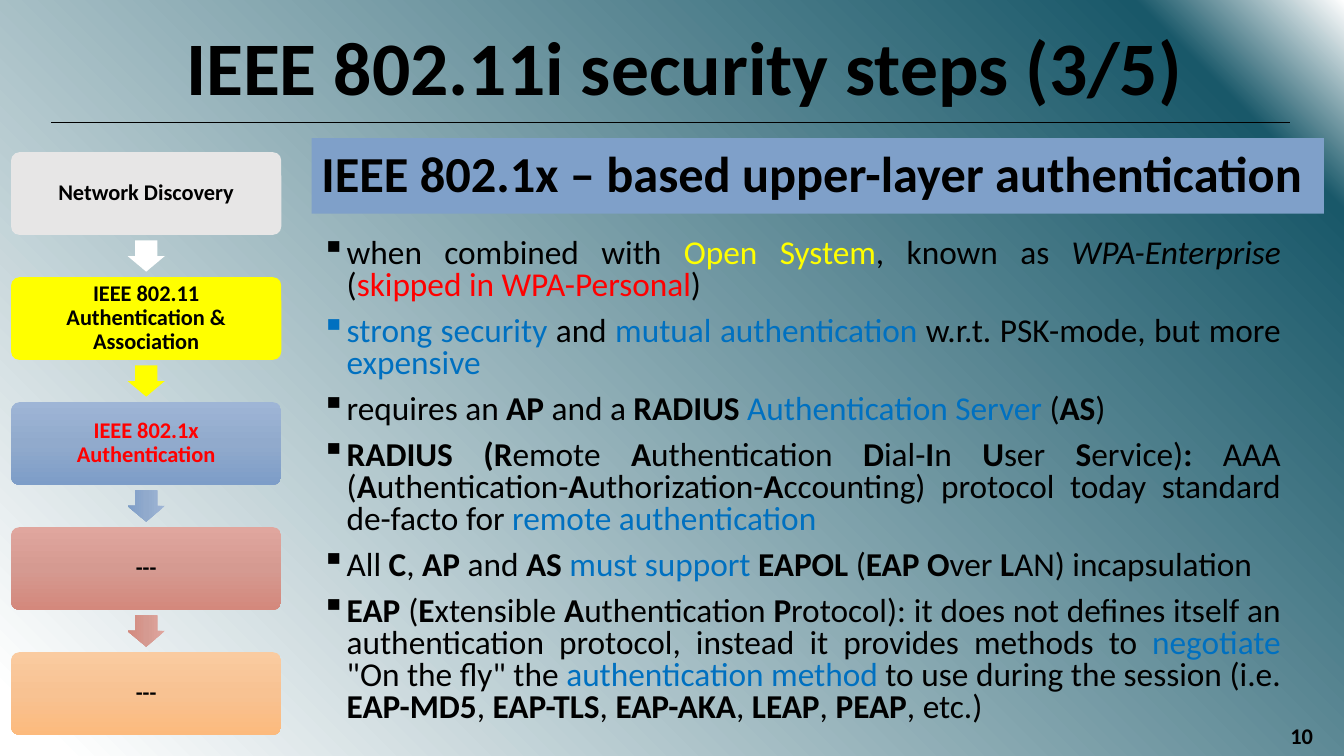
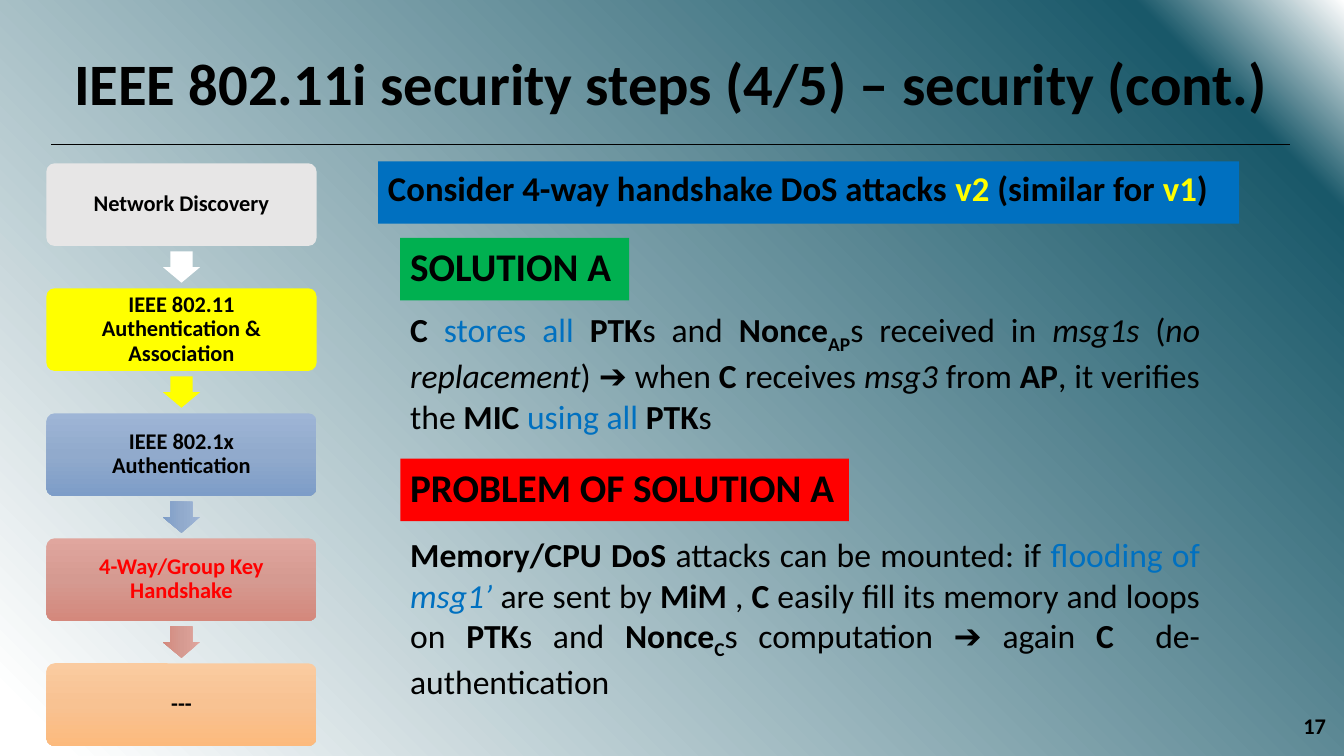
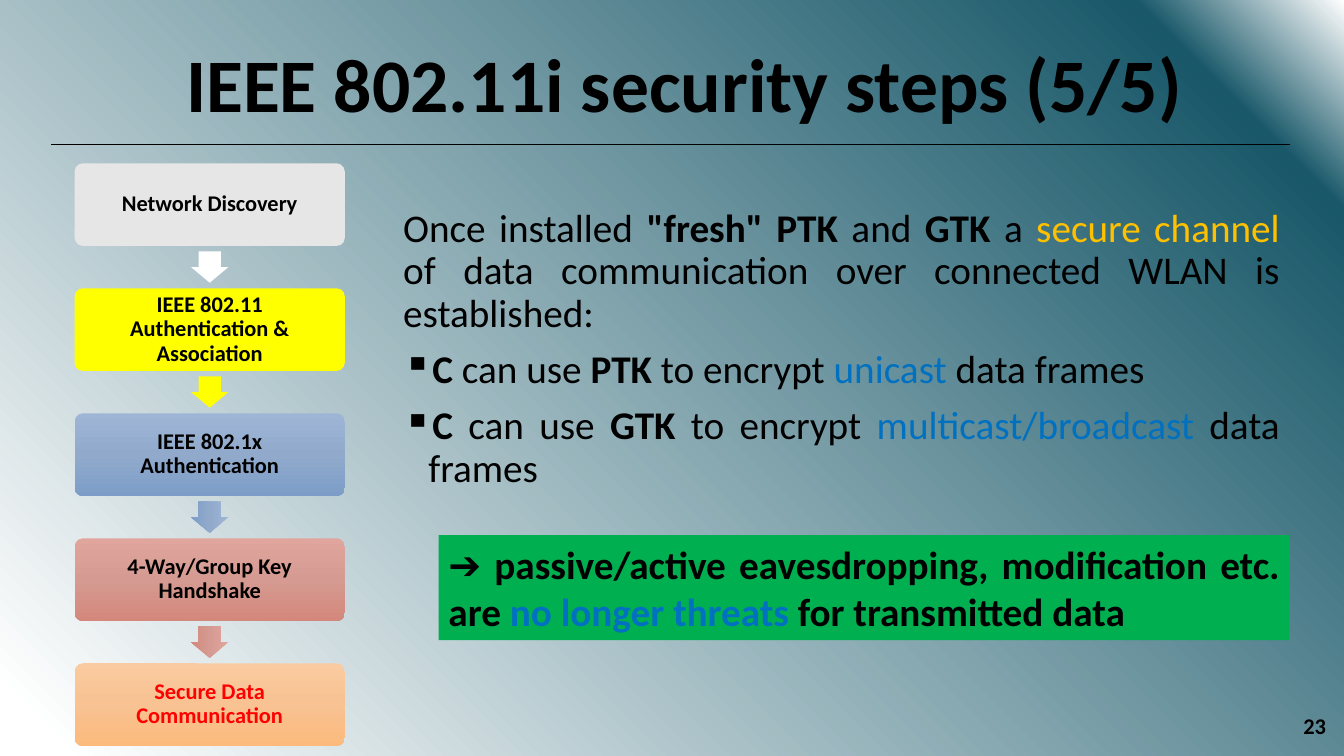
import lxml.etree
import pptx
import pptx.dml.color
import pptx.enum.shapes
import pptx.enum.text
import pptx.oxml.ns
import pptx.util

RGBColor = pptx.dml.color.RGBColor
Inches = pptx.util.Inches
Pt = pptx.util.Pt
SHAPE = pptx.enum.shapes.MSO_SHAPE
ALIGN = pptx.enum.text.PP_ALIGN
ANCHOR = pptx.enum.text.MSO_ANCHOR
qn = pptx.oxml.ns.qn

FONT = "Calibri"
BLACK = RGBColor(0x00, 0x00, 0x00)
WHITE = RGBColor(0xFF, 0xFF, 0xFF)
TEAL = RGBColor(0x19, 0x58, 0x69)
GREY = RGBColor(0xE7, 0xE6, 0xE6)
YELLOW = RGBColor(0xFF, 0xFF, 0x00)
RED = RGBColor(0xFF, 0x00, 0x00)
BLUE = RGBColor(0x00, 0x70, 0xC0)
GREEN = RGBColor(0x00, 0xB0, 0x50)
AMBER = RGBColor(0xFF, 0xC0, 0x00)
STEEL = RGBColor(0x7F, 0xA0, 0xC9)

# A gradient is a list of (percent, colour) stops.
BACKDROP = [(0, WHITE), (10, TEAL), (97, WHITE)]
BLUES = [(0, RGBColor(0x9E, 0xB5, 0xD6)), (50, RGBColor(0x91, 0xAA, 0xCC)),
         (100, RGBColor(0x7D, 0x9D, 0xC8))]
ROSES = [(0, RGBColor(0xE0, 0xA6, 0x9E)), (50, RGBColor(0xD5, 0x9A, 0x91)),
         (100, RGBColor(0xD4, 0x88, 0x7C))]
PEACHES = [(0, RGBColor(0xFA, 0xCB, 0xA0)), (50, RGBColor(0xF8, 0xC2, 0x92)),
           (100, RGBColor(0xFC, 0xBA, 0x7D))]

STEPS = [
    ("Network Discovery", GREY, WHITE),
    ("IEEE 802.11 Authentication & Association", YELLOW, YELLOW),
    ("IEEE 802.1x Authentication", BLUES, BLUES),
    ("4-Way/Group Key Handshake", ROSES, ROSES),
    ("Secure Data Communication", PEACHES, None),
]
UNKNOWN = "---"
STEP_W, STEP_H, STEP_GAP = 2.68, 0.82, 1.24
ARROW_W, ARROW_H = 0.31, 0.37

# A run is plain text, or a tuple of text and marks: "b", "i", "sub" or a colour.
# A paragraph is a bullet sign (or none) and its runs.
SQUARE = "▪"

SLIDES = [
    {
        "title": "IEEE 802.11i security steps (3/5)", "title_at": (1.04, 0.18, 11.5, 1.05),
        "title_size": 54, "title_pitch": 0.9, "rule": 1.21,
        "number": "10", "number_at": (12.55, 7.1, 0.57, 0.4),
        "steps_at": (0.11, 1.51), "known": 3, "current": 2,
        "blocks": [
            {"at": (3.09, 1.37, 10.04, 0.75), "fill": STEEL, "size": 36, "pitch": 0.9,
             "anchor": ANCHOR.MIDDLE, "align": ALIGN.LEFT,
             "paras": [("", [("IEEE 802.1x – based upper-layer authentication", "b")])]},
            {"at": (3.09, 2.32, 9.71, 5.18), "size": 23.8, "pitch": 0.8, "before": 10, "paras": [
                (SQUARE, ["when combined with ", ("Open System", YELLOW), ", known as ",
                          ("WPA-Enterprise ", "i"), "(", ("skipped in WPA-Personal", RED), ")"]),
                (SQUARE, [("strong security ", BLUE), "and ", ("mutual authentication ", BLUE),
                          "w.r.t. PSK-mode, but more ", ("expensive", BLUE)]),
                (SQUARE, ["requires an ", ("AP ", "b"), "and a ", ("RADIUS ", "b"),
                          ("Authentication Server ", BLUE), "(", ("AS", "b"), ")"]),
                (SQUARE, [("RADIUS (R", "b"), "emote ", ("A", "b"), "uthentication ",
                          ("D", "b"), "ial-", ("I", "b"), "n ", ("U", "b"), "ser ",
                          ("S", "b"), "ervice)", (": ", "b"), "AAA (", ("A", "b"),
                          "uthentication-", ("A", "b"), "uthorization-", ("A", "b"),
                          "ccounting) protocol today standard de-facto for ",
                          ("remote authentication", BLUE)]),
                (SQUARE, ["All ", ("C", "b"), ", ", ("AP", "b"), " and ", ("AS ", "b"),
                          ("must support ", BLUE), ("EAPOL ", "b"), "(", ("EAP O", "b"),
                          "ver ", ("L", "b"), "AN) incapsulation"]),
                (SQUARE, [("EAP ", "b"), "(", ("E", "b"), "xtensible ", ("A", "b"),
                          "uthentication ", ("P", "b"),
                          "rotocol): it does not defines itself an authentication protocol, "
                          "instead it provides methods to ", ("negotiate ", BLUE),
                          "\"On the fly\" the ", ("authentication method ", BLUE),
                          "to use during the session (i.e. ", ("EAP-MD5", "b"), ", ",
                          ("EAP-TLS", "b"), ", ", ("EAP-AKA", "b"), ", ", ("LEAP", "b"), ", ",
                          ("PEAP", "b"), ", etc.)"]),
            ]},
        ],
    },
    {
        "title": "IEEE 802.11i security steps (4/5) – security (cont.)",
        "title_at": (0.28, 0.38, 12.75, 1.05),
        "title_size": 41.9, "title_pitch": 0.7, "rule": 1.43,
        "number": "17", "number_at": (12.79, 7, 0.46, 0.4),
        "steps_at": (0.46, 1.62), "known": 4, "current": 3,
        "blocks": [
            {"at": (3.97, 2.36, 2.27, 0.62), "fill": GREEN, "size": 28, "pitch": 0.9,
             "anchor": ANCHOR.MIDDLE, "align": ALIGN.LEFT,
             "paras": [("", [("SOLUTION A", "b")])]},
            {"at": (3.97, 3.02, 8.03, 1.31), "size": 24, "paras": [
                ("", [("C ", "b"), ("stores all ", BLUE), ("PTK", "b"), "s and ",
                      ("Nonce", "b"), ("AP", "b", "sub"), "s received in ", ("msg1s ", "i"),
                      "(", ("no replacement", "i"), ") ➔ when ", ("C ", "b"), "receives ",
                      ("msg3", "i"), " from ", ("AP", "b"), ", it verifies the ",
                      ("MIC ", "b"), ("using all ", BLUE), ("PTK", "b"), "s"]),
            ]},
            {"at": (3.75, 1.6, 8.54, 0.62), "fill": BLUE, "size": 24.8, "pitch": 0.7,
             "anchor": ANCHOR.MIDDLE, "align": ALIGN.LEFT, "paras": [
                 ("", [("Consider 4-way handshake DoS attacks ", "b"), ("v2", "b", YELLOW),
                       (" (similar for ", "b"), ("v1", "b", YELLOW), (")", "b")])]},
            {"at": (3.97, 4.55, 4.45, 0.62), "fill": RED, "size": 28, "pitch": 0.9,
             "anchor": ANCHOR.MIDDLE, "align": ALIGN.LEFT,
             "paras": [("", [("PROBLEM OF SOLUTION A", "b")])]},
            {"at": (3.97, 5.25, 8.03, 1.72), "size": 24, "paras": [
                ("", [("Memory/CPU DoS ", "b"), "attacks can be mounted: if ",
                      ("flooding of ", BLUE), ("msg1’", "i", BLUE), " are sent by ",
                      ("MiM ", "b"), ", ", ("C ", "b"), "easily fill its memory and loops on ",
                      ("PTK", "b"), "s and ", ("Nonce", "b"), ("C", "b", "sub"),
                      "s computation ➔ again ", ("C ", "b"), " de-authentication"]),
            ]},
        ],
    },
    {
        "title": "IEEE 802.11i security steps (5/5)", "title_at": (1.04, 0.35, 11.5, 1.05),
        "title_size": 54, "title_pitch": 0.9, "rule": 1.43,
        "number": "23", "number_at": (12.79, 7, 0.46, 0.4),
        "steps_at": (0.74, 1.62), "known": 5, "current": 4,
        "blocks": [
            {"at": (3.9, 2.02, 8.89, 3.12), "size": 28, "pitch": 0.9, "before": 10, "paras": [
                ("", ["Once installed ", ("\"fresh\" PTK", "b"), " and ", ("GTK ", "b"), "a ",
                      ("secure channel ", AMBER),
                      "of data communication over connected WLAN is established:"]),
                (SQUARE, [("C ", "b"), "can use", (" PTK", "b"), " to encrypt ",
                          ("unicast ", BLUE), "data frames"]),
                (SQUARE, [("C ", "b"), "can use", (" GTK", "b"), " to encrypt ",
                          ("multicast/broadcast", BLUE), " data frames"]),
            ]},
            {"at": (4.35, 5.31, 8.44, 1.04), "fill": GREEN, "size": 28, "paras": [
                ("", [("➔ passive/active eavesdropping, modification etc. are ", "b"),
                      ("no longer threats ", "b", BLUE), ("for transmitted data", "b")]),
            ]},
        ],
    },
]


def paint(owner, fill, look, angle=90):
    """Fill owner with one colour, or with gradient stops turned clockwise by angle."""
    if isinstance(look, RGBColor):
        fill.solid()
        fill.fore_color.rgb = look
        return
    fill.gradient()
    grad = owner.element.find(".//" + qn("a:gradFill"))
    stops = grad.find(qn("a:gsLst"))
    for stop in list(stops):
        stops.remove(stop)
    for percent, colour in look:
        stop = lxml.etree.SubElement(stops, qn("a:gs"), pos=str(percent * 1000))
        lxml.etree.SubElement(stop, qn("a:srgbClr"), val=str(colour))
    lin = grad.find(qn("a:lin"))
    lin.set("ang", str(angle * 60000))
    lin.set("scaled", "0")


def add_run(para, run, size):
    text, *marks = (run,) if isinstance(run, str) else run
    piece = para.add_run()
    piece.text = text
    font = piece.font
    font.name, font.size = FONT, Pt(size)
    font.bold, font.italic = "b" in marks, "i" in marks
    colours = [mark for mark in marks if isinstance(mark, RGBColor)]
    font.color.rgb = colours[0] if colours else BLACK
    if "sub" in marks:
        piece._r.get_or_add_rPr().set("baseline", "-25000")


def write(shape, paras, size, align=ALIGN.JUSTIFY, anchor=ANCHOR.TOP, pitch=1.0, before=0):
    frame = shape.text_frame
    frame.word_wrap = True
    frame.vertical_anchor = anchor
    for i, (sign, runs) in enumerate(paras):
        para = frame.add_paragraph() if i else frame.paragraphs[0]
        para.alignment = align
        para.line_spacing = pitch
        para.space_before = Pt(before)
        if sign:
            props = para._p.get_or_add_pPr()
            props.set("marL", str(Inches(0.25)))
            props.set("indent", str(-Inches(0.25)))
            lxml.etree.SubElement(props, qn("a:buChar"), char=sign)
        for run in runs:
            add_run(para, run, size)


def add_shape(slide, kind, at, look, adjust=()):
    shape = slide.shapes.add_shape(kind, *map(Inches, at))
    shape.shadow.inherit = False
    shape.line.fill.background()
    paint(shape, shape.fill, look)
    for i, value in enumerate(adjust):
        shape.adjustments[i] = value
    return shape


def add_block(slide, at, paras, size, fill=None, **style):
    if fill is None:
        shape = slide.shapes.add_textbox(*map(Inches, at))
    else:
        shape = add_shape(slide, SHAPE.RECTANGLE, at, fill)
    write(shape, paras, size, **style)


def add_steps(slide, left, top, known, current):
    """Draw the column of steps; those past the known ones stay unnamed."""
    for i, (name, look, arrow_look) in enumerate(STEPS):
        y = top + i * STEP_GAP
        box = add_shape(slide, SHAPE.ROUNDED_RECTANGLE, (left, y, STEP_W, STEP_H), look, [0.1])
        box.text_frame.margin_left = box.text_frame.margin_right = Inches(0.09)
        colour = RED if i == current else BLACK
        label = name if i < known else UNKNOWN
        write(box, [("", [(label, "b", colour)])], 16, ALIGN.CENTER, ANCHOR.MIDDLE, 0.9)
        if arrow_look:
            middle = y + (STEP_H + STEP_GAP) / 2
            at = (left + (STEP_W - ARROW_W) / 2, middle - ARROW_H / 2, ARROW_W, ARROW_H)
            arrow = add_shape(slide, SHAPE.RIGHT_ARROW, at, arrow_look, [0.6, 0.5])
            arrow.rotation = 90


def add_rule(slide, y):
    rule = slide.shapes.add_connector(pptx.enum.shapes.MSO_CONNECTOR.STRAIGHT,
                                      Inches(0.51), Inches(y), Inches(12.79), Inches(y))
    rule.line.color.rgb = BLACK
    rule.line.width = Pt(0.5)
    lxml.etree.SubElement(rule.element.spPr, qn("a:effectLst"))


def main():
    deck = pptx.Presentation()
    deck.slide_width, deck.slide_height = Inches(13.33), Inches(7.5)
    master = deck.slide_master
    paint(master, master.background.fill, BACKDROP, 135)
    for page in SLIDES:
        slide = deck.slides.add_slide(deck.slide_layouts[6])
        add_steps(slide, *page["steps_at"], page["known"], page["current"])
        add_block(slide, page["title_at"], [("", [(page["title"], "b")])], page["title_size"],
                  align=ALIGN.CENTER, anchor=ANCHOR.MIDDLE, pitch=page["title_pitch"])
        add_rule(slide, page["rule"])
        add_block(slide, page["number_at"], [("", [(page["number"], "b")])], 16,
                  align=ALIGN.RIGHT, anchor=ANCHOR.MIDDLE)
        for block in page["blocks"]:
            add_block(slide, **block)
    deck.save("out.pptx")


if __name__ == "__main__":
    main()
